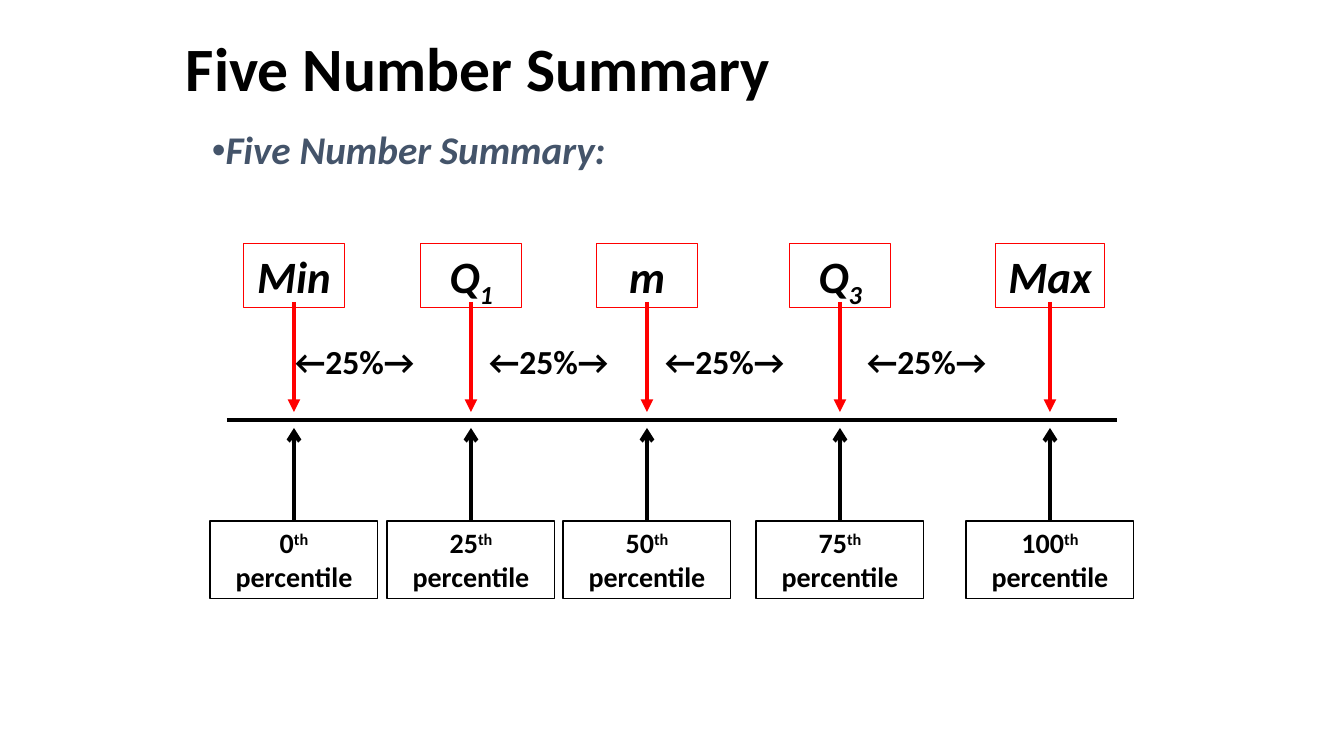
import pptx
import pptx.dml.color
import pptx.enum.shapes
import pptx.enum.text
import pptx.oxml.ns
import pptx.util
from lxml import etree

SCALE = 914400 / 100.8
FONT = "Calibri"
COLORS = {"black": "000000", "red": "FF0000", "slate": "44546A"}
ALIGN = pptx.enum.text.PP_ALIGN
ANCHOR = pptx.enum.text.MSO_ANCHOR
AXIS_Y = 420

MARKERS = [
    (294, 101, [("Min", 0)], "0"),
    (471, 101, [("Q", 0), ("1", -25)], "25"),
    (647, 101, [("m", 0)], "50"),
    (840, 101, [("Q", 0), ("3", -25)], "75"),
    (1050, 109, [("Max", 0)], "100"),
]
SHARES = [(285, 176), (479, 159), (655, 159), (857, 159)]


def px(value):
    return pptx.util.Emu(round(value * SCALE))


def color(name):
    return pptx.dml.color.RGBColor.from_string(COLORS[name])


def child(parent, tag, **attributes):
    return etree.SubElement(parent, pptx.oxml.ns.qn(tag), attributes)


def write_text(shape, runs, size, ink="black", italic=False, align=ALIGN.LEFT,
               anchor=ANCHOR.TOP, line_spacing=None, half_before=False,
               bullet=False, grow=False):
    frame = shape.text_frame
    frame.word_wrap = True
    frame.vertical_anchor = anchor
    if grow:
        frame.auto_size = pptx.enum.text.MSO_AUTO_SIZE.SHAPE_TO_FIT_TEXT
    para = frame.paragraphs[0]
    para.alignment = align
    if line_spacing:
        para.line_spacing = line_spacing
    properties = para._p.get_or_add_pPr()
    if half_before:
        child(child(properties, "a:spcBef"), "a:spcPct", val="50000")
    if bullet:
        properties.set("marL", "0")
        properties.set("indent", str(px(-56)))
        child(properties, "a:buFont", typeface="Arial")
        child(properties, "a:buChar", char="•")
    for text, baseline in runs:
        span = para.add_run()
        span.text = text
        span.font.name = FONT
        span.font.size = pptx.util.Pt(size)
        span.font.bold = True
        span.font.italic = italic
        span.font.color.rgb = color(ink)
        if baseline:
            span.font._element.set("baseline", str(baseline * 1000))


def add_label(page, left, top, width, height, runs, **text_format):
    label = page.shapes.add_textbox(px(left), px(top), px(width), px(height))
    write_text(label, runs, **text_format)


def add_box(page, center, top, width, height, outline, runs, **text_format):
    box = page.shapes.add_shape(
        pptx.enum.shapes.MSO_SHAPE.RECTANGLE,
        px(center - width / 2), px(top), px(width), px(height))
    box.shadow.inherit = False
    box.fill.background()
    box.line.color.rgb = color(outline)
    box.line.width = pptx.util.Pt(0.75)
    write_text(box, runs, grow=True, **text_format)


def add_line(page, start, end, ink, head=None):
    line = page.shapes.add_connector(
        pptx.enum.shapes.MSO_CONNECTOR.STRAIGHT,
        px(start[0]), px(start[1]), px(end[0]), px(end[1]))
    line.line.color.rgb = color(ink)
    line.line.width = pptx.util.Pt(3)
    if head:
        child(line.line._get_or_add_ln(), "a:tailEnd", type=head)
    child(line._element.spPr, "a:effectLst")


def add_marker(page, center, width, name, percentile):
    add_box(page, center, 244, width, 64, "red", name, size=32, italic=True,
            align=ALIGN.CENTER, half_before=True)
    add_line(page, (center, 302), (center, AXIS_Y - 8), "red", "triangle")
    add_box(page, center, 521, 168, 78, "black",
            [(percentile, 0), ("th", 30), (" percentile", 0)],
            size=20, align=ALIGN.CENTER)
    add_line(page, (center, 521), (center, AXIS_Y + 8), "black", "arrow")


def main():
    deck = pptx.Presentation()
    deck.slide_width = px(1344)
    deck.slide_height = px(756)
    page = deck.slides.add_slide(deck.slide_layouts[6])
    add_label(page, 176, 0, 991, 143, [("Five Number Summary", 0)], size=44,
              anchor=ANCHOR.MIDDLE, line_spacing=0.9)
    add_label(page, 202, 126, 950, 605, [("Five Number Summary:", 0)], size=28,
              ink="slate", italic=True, line_spacing=0.9, bullet=True)
    add_line(page, (227, AXIS_Y), (1117, AXIS_Y), "black")
    for marker in MARKERS:
        add_marker(page, *marker)
    for left, width in SHARES:
        add_label(page, left, 336, width, 51, [("←25%→", 0)], size=24,
                  half_before=True, grow=True)
    deck.save("out.pptx")


main()
